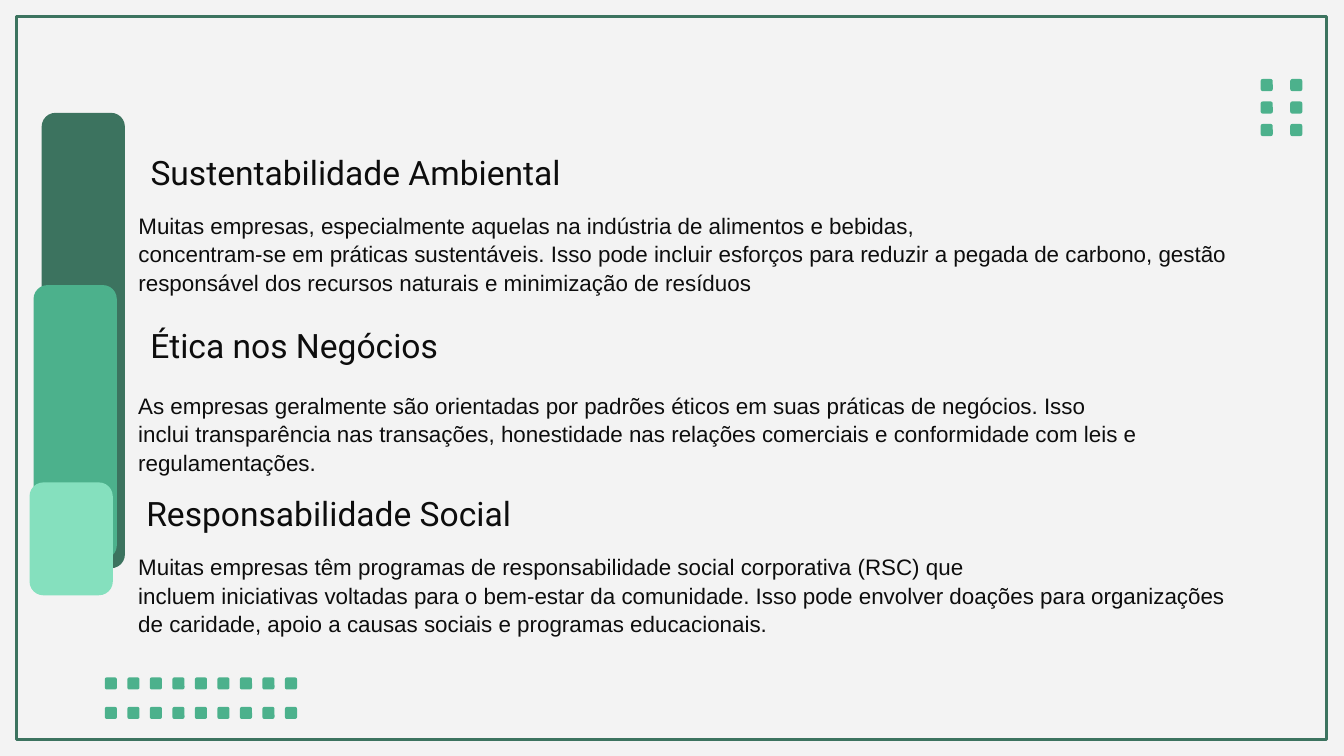
from pptx import Presentation
from pptx.dml.color import RGBColor
from pptx.enum.shapes import MSO_SHAPE as SHAPE
from pptx.enum.text import MSO_ANCHOR as ANCHOR, MSO_AUTO_SIZE as AUTO, PP_ALIGN as ALIGN
from pptx.oxml.ns import qn
from pptx.util import Inches, Pt

W, H = Inches(10), Inches(5.625)
COLORS = {"bg": "F3F3F3", "dark": "3C735F", "mid": "4CB18C", "light": "85E0BE", "text": "0D0D0D"}
HEAD_H = 7.11  # heading height, percent of the slide
HEADING = {"name": "Roboto", "size": Pt(18), "bold": False}
BODY = {"name": "Arial", "size": Pt(12), "bold": False}

# Boxes are (left, top, width, height) in percent of the slide.
# Sections: top, height, body offset, heading indent, heading width, heading, lines
SECTIONS = [
    (20.09, 18.49, 6.04, 0.9, 39.8, "Sustentabilidade Ambiental", [
        "Muitas empresas, especialmente aquelas na indústria de alimentos e bebidas,",
        "concentram-se em práticas sustentáveis. Isso pode incluir esforços para reduzir "
        "a pegada de carbono, gestão",
        "responsável dos recursos naturais e minimização de resíduos"]),
    (43.02, 20.8, 6.93, 0.9, 24.7, "Ética nos Negócios", [
        "As empresas geralmente são orientadas por padrões éticos em suas práticas de "
        "negócios. Isso",
        "inclui transparência nas transações, honestidade nas relações comerciais e "
        "conformidade com leis e",
        "regulamentações."]),
    (65.24, 20.44, 6.04, 0.6, 34.4, "Responsabilidade Social", [
        "Muitas empresas têm programas de responsabilidade social corporativa (RSC) que",
        "incluem iniciativas voltadas para o bem-estar da comunidade. Isso pode envolver "
        "doações para organizações de caridade, apoio a causas sociais e programas "
        "educacionais."]),
]


def rgb(key):
    return RGBColor.from_string(COLORS[key])


def emu(box):
    x, y, w, h = box
    return [round(v * side / 100) for v, side in ((x, W), (y, H), (w, W), (h, H))]


def inner(box, share):
    """Turn percentages of a box into percentages of the slide."""
    x, y, w, h = box
    sx, sy, sw, sh = share
    return x + w * sx / 100, y + h * sy / 100, w * sw / 100, h * sh / 100


def add_block(s, box, color):
    sp = s.shapes.add_shape(SHAPE.ROUNDED_RECTANGLE, *emu(box))
    sp.shadow.inherit = False
    sp.fill.solid()
    sp.fill.fore_color.rgb = rgb(color)
    sp.line.fill.background()


def add_frame(s, box):
    sp = s.shapes.add_shape(SHAPE.RECTANGLE, *emu(box))
    sp.shadow.inherit = False
    sp.fill.background()
    sp.line.color.rgb = rgb("dark")
    sp.line.width = Pt(1.5)


def add_dots(s, box, cols, rows):
    x, y, w, h = box
    dot_w, dot_h = 0.9, 0.9 * W / H
    step_x, step_y = (w - dot_w) / (cols - 1), (h - dot_h) / (rows - 1)
    for row in range(rows):
        for col in range(cols):
            add_block(s, (x + col * step_x, y + row * step_y, dot_w, dot_h), "mid")


def add_bars(s, box):
    for x, y, h, color in [(12.7, 0, 94.4, "dark"), (4.2, 35.7, 56.8, "mid"),
                           (0, 76.6, 23.4, "light")]:
        add_block(s, inner(box, (x, y, 87.3, h)), color)


def set_text(sp, box, lines, font, anchor, spacing):
    sp.left, sp.top, sp.width, sp.height = emu(box)
    tf = sp.text_frame
    tf.text = "\n".join(lines)
    frame = {"word_wrap": True, "auto_size": AUTO.NONE, "vertical_anchor": anchor}
    frame.update({f"margin_{side}": Inches(0.1) for side in ("left", "right", "top", "bottom")})
    for name, value in frame.items():
        setattr(tf, name, value)
    para = {"alignment": ALIGN.LEFT, "line_spacing": spacing,
            "space_before": Pt(0), "space_after": Pt(0)}
    for p in tf.paragraphs:
        # No bullet and no hanging indent
        pPr = p._p.get_or_add_pPr()
        pPr.set("marL", "0")
        pPr.set("indent", "0")
        pPr.append(pPr.makeelement(qn("a:buNone"), {}))
        for name, value in para.items():
            setattr(p, name, value)
        for r in p.runs:
            for name, value in font.items():
                setattr(r.font, name, value)
            r.font.color.rgb = rgb("text")


def add_section(box, head, body, gap, indent, head_w, heading, lines):
    x, y, w, h = box
    set_text(head, (x + indent, y, head_w, HEAD_H), [heading], HEADING, ANCHOR.BOTTOM, 1.0)
    set_text(body, (x, y + gap, w, h - gap), lines, BODY, ANCHOR.TOP, 1.05)


def main():
    prs = Presentation()
    prs.slide_width, prs.slide_height = W, H
    s = prs.slides.add_slide(prs.slide_layouts[1])
    s.background.fill.solid()
    s.background.fill.fore_color.rgb = rgb("bg")

    # Decoration
    add_frame(s, (1.2, 2.15, 97.5, 95.7))
    add_dots(s, (93.8, 10.45, 3.1, 7.55), 2, 3)
    add_dots(s, (7.8, 89.6, 14.3, 5.5), 9, 2)
    add_bars(s, (2.2, 14.93, 7.1, 63.82))

    # Sections: the first uses the title and body placeholders
    for i, (top, height, *content) in enumerate(SECTIONS):
        if i == 0:
            head, body = s.shapes.title, s.placeholders[1]
        else:
            head, body = (s.shapes.add_textbox(0, 0, 0, 0) for _ in range(2))
        add_section((9.3, top, 85.1, height), head, body, *content)

    prs.save("out.pptx")


if __name__ == "__main__":
    main()
